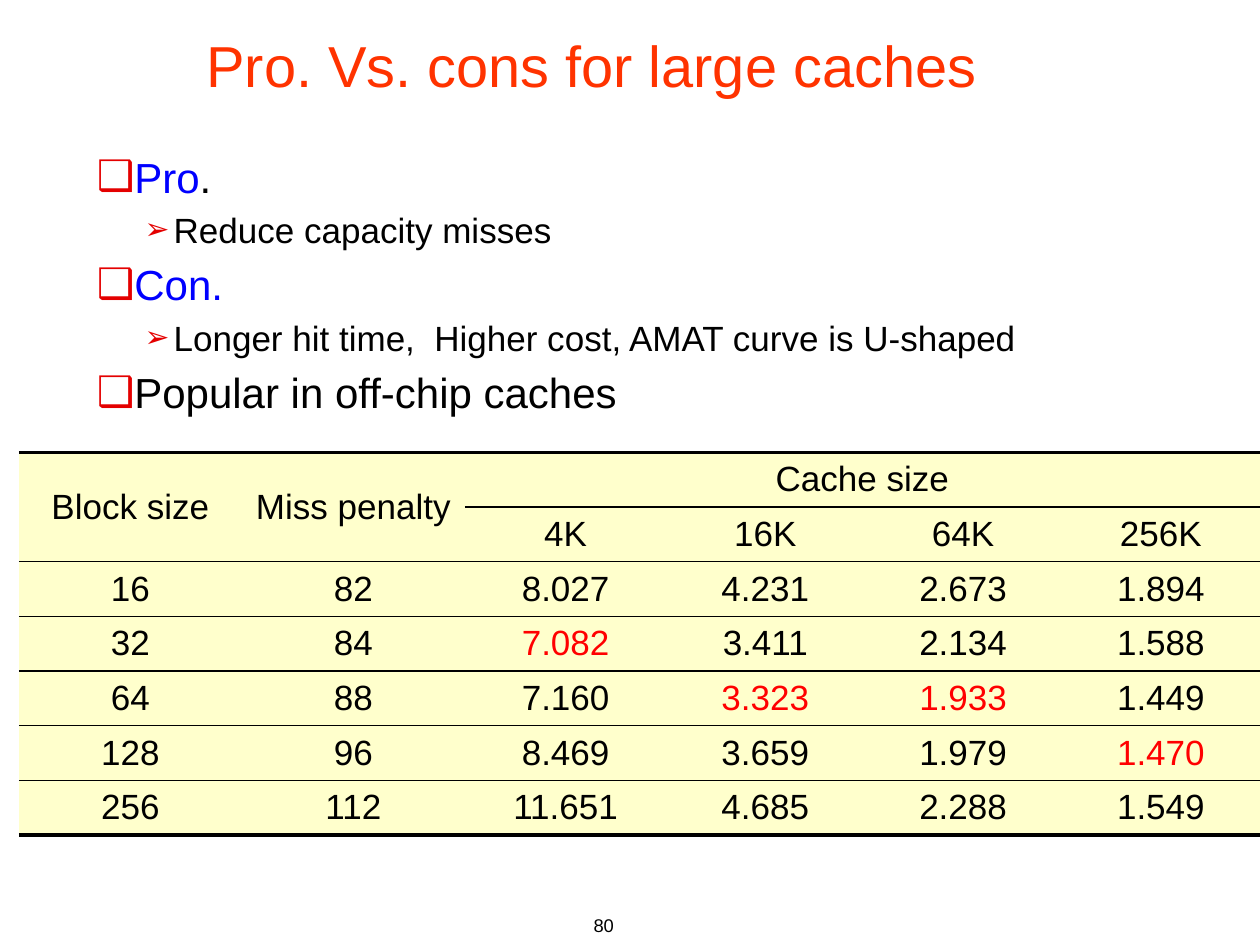
from lxml.etree import SubElement
from pptx import Presentation
from pptx.dml.color import RGBColor
from pptx.enum.shapes import MSO_SHAPE as Shape
from pptx.enum.text import MSO_ANCHOR as Anchor, PP_ALIGN as Align
from pptx.oxml.ns import qn
from pptx.util import Pt

BLACK, RED, BLUE = "000000", "FF0000", "0000FF"
POINTS = [
    (0, [("Pro", BLUE), (".", BLACK)]),
    (1, [("Reduce capacity misses", BLACK)]),
    (0, [("Con.", BLUE)]),
    (1, [("Longer hit time,  Higher cost, AMAT curve is U-shaped", BLACK)]),
    (0, [("Popular in off-chip caches", BLACK)]),
]
LEVELS = [
    {"size": 24, "left": 20.16, "hang": 20.16, "bullet": "❑", "percent": 100},
    {"size": 20, "left": 43.92, "hang": 16.56, "bullet": "➢", "percent": 85},
]
ROWS = [
    ["Block size", "Miss penalty", "Cache size", "", "", ""],
    ["", "", "4K", "16K", "64K", "256K"],
    ["16", "82", "8.027", "4.231", "2.673", "1.894"],
    ["32", "84", "7.082", "3.411", "2.134", "1.588"],
    ["64", "88", "7.160", "3.323", "1.933", "1.449"],
    ["128", "96", "8.469", "3.659", "1.979", "1.470"],
    ["256", "112", "11.651", "4.685", "2.288", "1.549"],
]
MARKED = {"7.082", "3.323", "1.933", "1.470"}
COLUMN_WIDTHS = [127.44, 127.44, 115.2, 113.04, 113.04, 113.04]
ROW_HEIGHT = 31.15


def rgb(color):
    """Turn a hex string into a colour."""
    return RGBColor.from_string(color)


def style(span, size, color):
    """Set the font of a run."""
    span.font.name = "Arial"
    span.font.size = Pt(size)
    span.font.color.rgb = rgb(color)


def add_number(page):
    """Add the page number."""
    box = page.shapes.add_textbox(Pt(208.08), Pt(514.08), Pt(149.76), Pt(36))
    box.text_frame.word_wrap = True
    box.text_frame.margin_top = Pt(8.6)
    para = box.text_frame.paragraphs[0]
    para.text = "80"
    para.alignment = Align.RIGHT
    style(para.runs[0], 10.5, BLACK)


def add_title(page):
    """Add the white title panel."""
    panel = page.shapes.add_shape(
        Shape.RECTANGLE, Pt(110.88), Pt(0), Pt(594), Pt(73.44))
    panel.shadow.inherit = False
    panel.fill.solid()
    panel.fill.fore_color.rgb = rgb("FFFFFF")
    panel.line.fill.background()
    panel.text_frame.vertical_anchor = Anchor.MIDDLE
    para = panel.text_frame.paragraphs[0]
    para.text = "Pro. Vs. cons for large caches"
    para.alignment = Align.LEFT
    style(para.runs[0], 33, "FF3300")


def set_bullet(para, level):
    """Give a paragraph its indent and red bullet."""
    props = para._p.get_or_add_pPr()
    props.set("marL", str(Pt(level["left"])))
    props.set("indent", str(-Pt(level["hang"])))
    color = SubElement(props, qn("a:buClr"))
    SubElement(color, qn("a:srgbClr"), val="E40000")
    SubElement(props, qn("a:buSzPct"), val=str(level["percent"] * 1000))
    SubElement(props, qn("a:buFont"), typeface="Arial")
    SubElement(props, qn("a:buChar"), char=level["bullet"])


def add_points(page):
    """Add the two-level list of points."""
    box = page.shapes.add_textbox(Pt(48.24), Pt(82.8), Pt(650.16), Pt(164.16))
    frame = box.text_frame
    frame.word_wrap = True
    for index, (depth, spans) in enumerate(POINTS):
        para = frame.add_paragraph() if index else frame.paragraphs[0]
        level = LEVELS[depth]
        para.level = depth
        set_bullet(para, level)
        if index:
            para.space_before = Pt(level["size"] * 0.2)
        for text, color in spans:
            span = para.add_run()
            span.text = text
            style(span, level["size"], color)


def set_border(cell, side, width):
    """Draw one edge of a cell, or clear it when the width is zero."""
    line = SubElement(cell._tc.get_or_add_tcPr(), qn(f"a:ln{side}"), w=str(Pt(width)))
    if width:
        fill = SubElement(line, qn("a:solidFill"))
        SubElement(fill, qn("a:srgbClr"), val=BLACK)
    else:
        SubElement(line, qn("a:noFill"))


def fill_cell(cell, text, top, bottom):
    """Set the borders, fill and text of a cell."""
    for side, width in zip("LRTB", (0, 0, top, bottom)):
        set_border(cell, side, width)
    cell.fill.solid()
    cell.fill.fore_color.rgb = rgb("FFFFCC")
    cell.vertical_anchor = Anchor.MIDDLE
    if text:
        para = cell.text_frame.paragraphs[0]
        para.text = text
        para.alignment = Align.CENTER
        style(para.runs[0], 20, RED if text in MARKED else BLACK)


def add_cache_table(page):
    """Add the table of access times by block and cache size."""
    last = len(ROWS) - 1
    table = page.shapes.add_table(
        len(ROWS), len(COLUMN_WIDTHS), Pt(10.8), Pt(258.48),
        Pt(sum(COLUMN_WIDTHS)), Pt(ROW_HEIGHT * len(ROWS))).table
    table.first_row = table.horz_banding = False
    for column, width in zip(table.columns, COLUMN_WIDTHS):
        column.width = Pt(width)
    for i, values in enumerate(ROWS):
        table.rows[i].height = Pt(ROW_HEIGHT)
        for j, text in enumerate(values):
            top = 2.25 if i == 0 else 1
            bottom = 2.25 if i == last else 1
            fill_cell(table.cell(i, j), text, top, bottom)
    for start, end in [((0, 0), (1, 0)), ((0, 1), (1, 1)), ((0, 2), (0, 5))]:
        table.cell(*start).merge(table.cell(*end))


def main():
    """Build the slide and save it."""
    deck = Presentation()
    deck.slide_width, deck.slide_height = Pt(720), Pt(540)
    page = deck.slides.add_slide(deck.slide_layouts[6])
    add_number(page)
    add_title(page)
    add_points(page)
    add_cache_table(page)
    deck.save("out.pptx")


if __name__ == "__main__":
    main()
